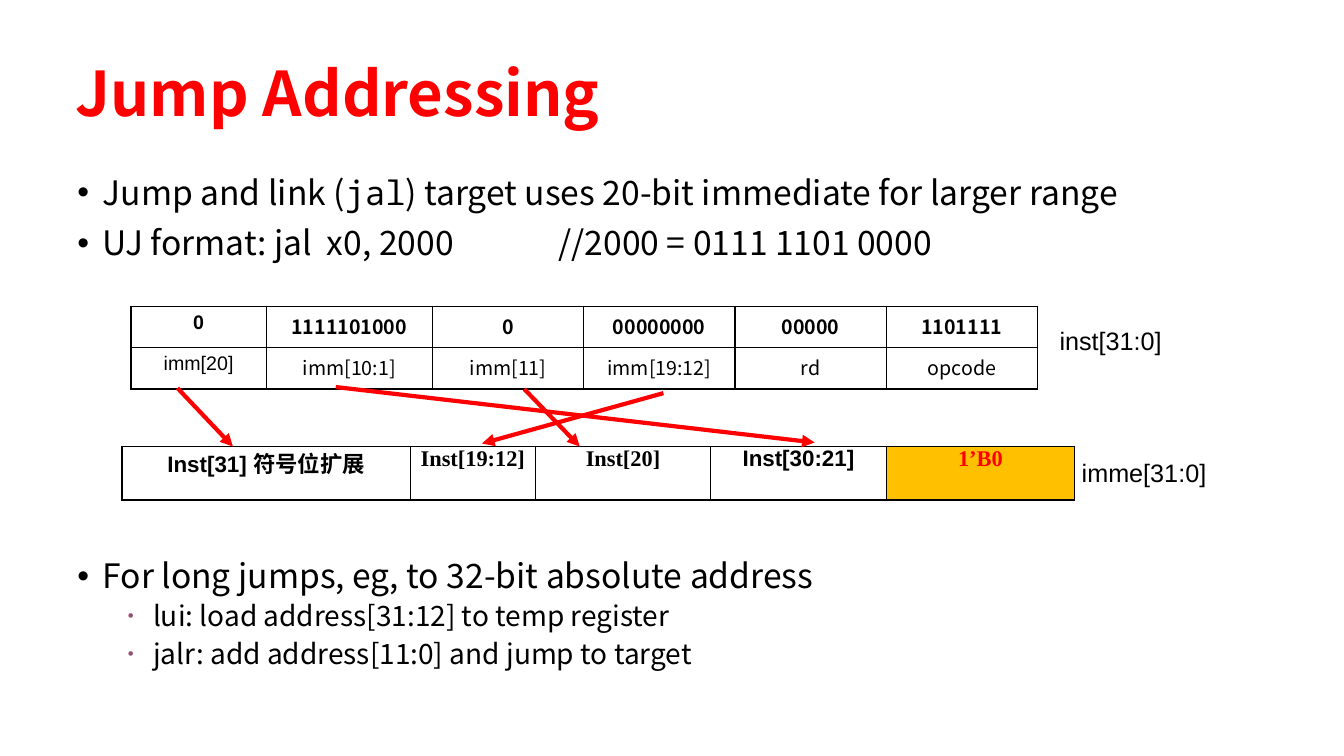
from dataclasses import dataclass

from lxml.etree import SubElement
from pptx import Presentation
from pptx.dml.color import RGBColor
from pptx.enum.shapes import MSO_CONNECTOR
from pptx.enum.text import MSO_ANCHOR, MSO_AUTO_SIZE, PP_ALIGN
from pptx.oxml import parse_xml
from pptx.oxml.ns import nsdecls, qn
from pptx.util import Inches, Pt


@dataclass(frozen=True)
class Theme:
    black: str = "000000"
    white: str = "FFFFFF"
    red: str = "FF0000"
    amber: str = "FFC000"
    plum: str = "954F72"
    sans: str = "Noto Sans CJK SC"
    mono: str = "Noto Sans Mono"
    arial: str = "Arial"
    serif: str = "Times New Roman"
    title: int = 44
    body: int = 24
    sub: int = 20
    label: int = 18
    immediate: int = 16
    field: int = 14


T = Theme()


def add_run(p, text, font, size, color=T.black, bold=False):
    r = p.add_run()
    r.text = text
    r.font.name, r.font.size, r.font.bold = font, Pt(size), bold
    r.font.color.rgb = RGBColor.from_string(color)
    SubElement(r.font._element, qn("a:ea"), typeface=T.sans)


def add_title(s, text, x, y, w, h):
    title = s.shapes.title
    title.left, title.top, title.width, title.height = map(Inches, (x, y, w, h))
    tf = title.text_frame
    tf.auto_size = MSO_AUTO_SIZE.NONE
    tf.vertical_anchor = MSO_ANCHOR.MIDDLE
    p = tf.paragraphs[0]
    p.alignment, p.line_spacing = PP_ALIGN.LEFT, 0.9
    add_run(p, text, T.sans, T.title, T.red, bold=True)


def add_text_frame(s, x, y, w, h):
    tf = s.shapes.add_textbox(*map(Inches, (x, y, w, h))).text_frame
    tf.word_wrap = True
    return tf


def format_bullet(p, level, tab):
    pPr = p._p.get_or_add_pPr()
    pPr.set("marL", str(Inches(0.75 if level else 0.25)))
    pPr.set("indent", str(Inches(-0.25)))
    if level:
        color = SubElement(pPr, qn("a:buClr"))
        SubElement(color, qn("a:srgbClr"), val=T.plum)
        SubElement(pPr, qn("a:buSzPct"), val="60000")
    SubElement(pPr, qn("a:buFont"), typeface=T.arial)
    SubElement(pPr, qn("a:buChar"), char="•")
    if tab:
        tabs = SubElement(pPr, qn("a:tabLst"))
        SubElement(tabs, qn("a:tab"), pos=str(Inches(tab)), algn="l")


def add_bullets(s, items, x, y, w, h):
    """Each item is (level, tab stop, [(text, font), ...])."""
    tf = add_text_frame(s, x, y, w, h)
    for i, (level, tab, runs) in enumerate(items):
        p = tf.add_paragraph() if i else tf.paragraphs[0]
        p.level, p.line_spacing = level, 0.9
        p.space_before = Pt((5 if level else 10) if i else 0)
        format_bullet(p, level, tab)
        for text, font in runs:
            add_run(p, text, font, T.sub if level else T.body)


def add_borders(cell):
    tcPr = cell._tc.get_or_add_tcPr()
    for i, side in enumerate(("lnL", "lnR", "lnT", "lnB")):
        tcPr.insert(i, parse_xml(
            f'<a:{side} {nsdecls("a")} w="12700"><a:solidFill>'
            f'<a:srgbClr val="{T.black}"/></a:solidFill></a:{side}>'))


def add_bit_table(s, rows, widths, size, margins, x, y, row_h):
    """Each cell is (text, font, bold, text colour, fill colour)."""
    box = map(Inches, (x, y, sum(widths), row_h * len(rows)))
    table = s.shapes.add_table(len(rows), len(widths), *box).table
    table.first_row = table.horz_banding = False
    for col, width in zip(table.columns, widths):
        col.width = Inches(width)
    for i, row in enumerate(rows):
        table.rows[i].height = Inches(row_h)
        for j, (text, font, bold, color, fill) in enumerate(row):
            cell = table.cell(i, j)
            cell.margin_left = cell.margin_right = Inches(margins[0])
            cell.margin_top = cell.margin_bottom = Inches(margins[1])
            cell.fill.solid()
            cell.fill.fore_color.rgb = RGBColor.from_string(fill)
            add_borders(cell)
            p = cell.text_frame.paragraphs[0]
            p.alignment = PP_ALIGN.CENTER
            add_run(p, text, font, size, color, bold)


def add_instruction(s, x, y):
    rows = [
        ("0", "1111101000", "0", "00000000", "00000", "1101111"),
        ("imm[20]", "imm[10:1]", "imm[11]", "imm[19:12]", "rd", "opcode"),
    ]
    cells = [[(text, T.sans if j else T.arial, i == 0, T.black, T.white)
              for j, text in enumerate(row)] for i, row in enumerate(rows)]
    add_bit_table(s, cells, [1.34, 1.65] + [1.5] * 4, T.field, (0.1, 0.05),
                  x, y, 0.41)
    add_label(s, "inst[31:0]", x + 9.11, y + 0.14)


def add_immediate(s, x, y):
    cells = [
        ("Inst[31] 符号位扩展", T.arial, True, T.black, T.white),
        ("Inst[19:12]", T.serif, True, T.black, T.white),
        ("Inst[20]", T.serif, True, T.black, T.white),
        ("Inst[30:21]", T.arial, True, T.black, T.white),
        ("1’B0", T.serif, True, T.red, T.amber),
    ]
    add_bit_table(s, [cells], [2.86, 1.24, 1.74, 1.74, 1.87], T.immediate,
                  (0.07, 0), x, y, 0.53)
    add_label(s, "imme[31:0]", x + 9.42, y + 0.06)


def add_label(s, text, x, y):
    tf = add_text_frame(s, x, y, 1.62, 0.4)
    add_run(tf.paragraphs[0], text, T.arial, T.label)


def add_arrow(s, x1, y1, x2, y2):
    c = s.shapes.add_connector(MSO_CONNECTOR.STRAIGHT,
                               *map(Inches, (x1, y1, x2, y2)))
    c.line.color.rgb = RGBColor.from_string(T.red)
    c.line.width = Pt(3)
    SubElement(c.line._get_or_add_ln(), qn("a:tailEnd"), type="triangle")
    SubElement(c._element.spPr, qn("a:effectLst"))


def add_jump_slide(prs):
    s = prs.slides.add_slide(prs.slide_layouts[5])
    add_title(s, "Jump Addressing", 0.65, 0.23, 11.5, 1.45)

    # Jump and link
    add_bullets(s, [
        (0, None, [("Jump and link (", T.sans), ("jal", T.mono),
                   (") target uses 20-bit immediate for larger range", T.sans)]),
        (0, 4.77, [("UJ format: jal  x0, 2000\t//2000 = 0111 1101 0000", T.sans)]),
    ], 0.67, 1.7, 12, 1.1)

    # Instruction fields and the immediate they form
    add_instruction(s, 1.3, 3.04)
    add_immediate(s, 1.21, 4.43)
    for ends in [(1.76, 3.85, 2.31, 4.43), (6.58, 3.9, 4.78, 4.4),
                 (5.2, 3.86, 5.75, 4.43), (3.33, 3.84, 8.08, 4.39)]:
        add_arrow(s, *ends)

    # Long jumps
    add_bullets(s, [
        (0, None, [("For long jumps, eg, to 32-bit absolute address", T.sans)]),
        (1, None, [("lui: load address[31:12] to temp register", T.sans)]),
        (1, None, [("jalr: add address[11:0] and jump to target", T.sans)]),
    ], 0.67, 5.5, 12, 1.55)


def main():
    prs = Presentation()
    prs.slide_width, prs.slide_height = Inches(13.33), Inches(7.5)
    add_jump_slide(prs)
    prs.save("out.pptx")


if __name__ == "__main__":
    main()
